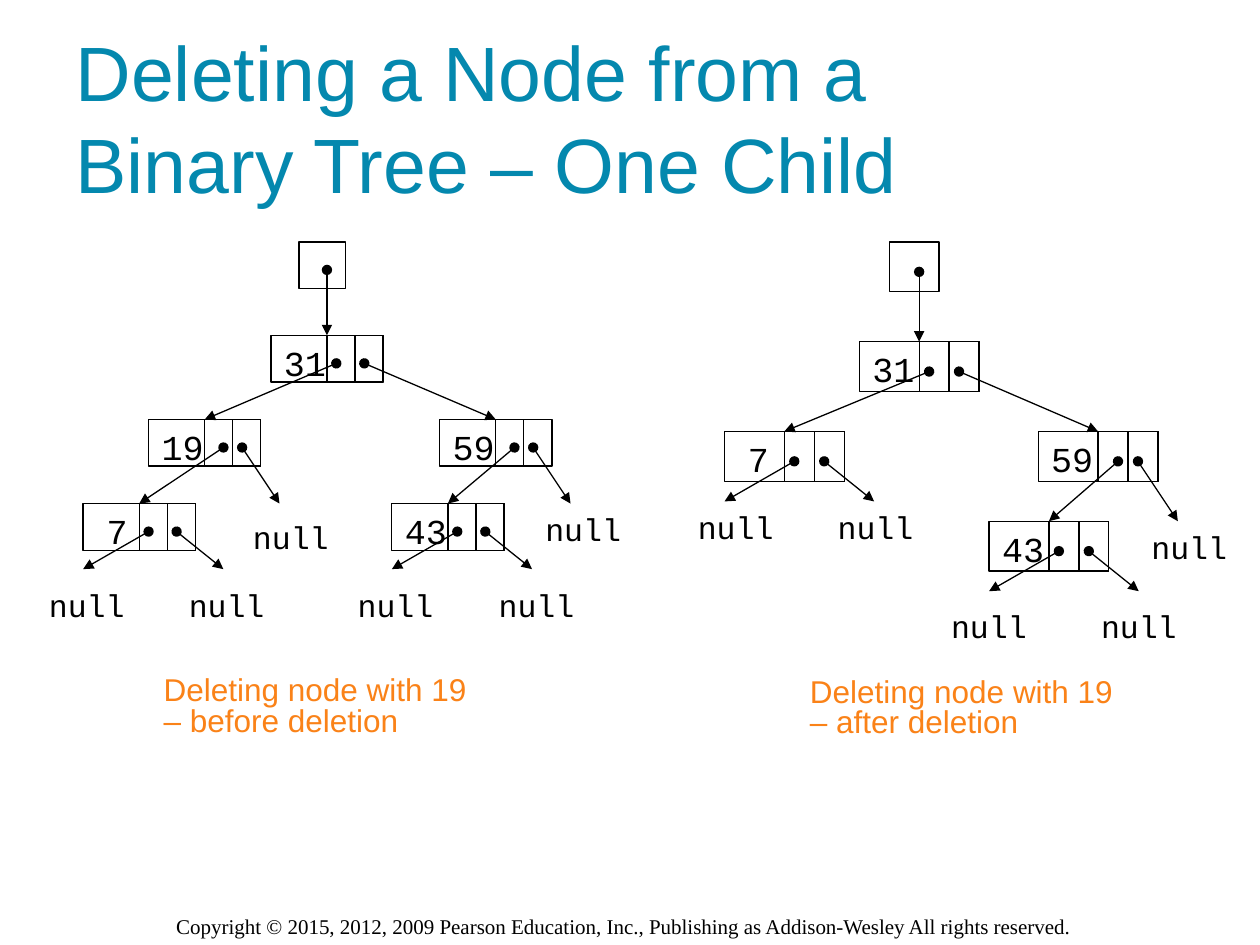
from lxml.etree import SubElement
from pptx import Presentation
from pptx.dml.color import RGBColor
from pptx.enum.shapes import MSO_CONNECTOR, MSO_SHAPE
from pptx.enum.text import MSO_ANCHOR, MSO_AUTO_SIZE, PP_ALIGN
from pptx.oxml.ns import qn
from pptx.util import Inches, Pt

BLACK = RGBColor(0x00, 0x00, 0x00)
TEAL = RGBColor(0x04, 0x88, 0xAE)
ORANGE = RGBColor(0xFA, 0x82, 0x18)

# key: (left, level, left pointer, right pointer); a pointer is a child key
# or the position of a null label. Positions are relative to the tree's box.
BEFORE = {
    "31": (1.86, 0, "19", "59"),
    "19": (0.89, 1, "7", (1.62, 2.14)),
    "59": (3.2, 1, "43", (3.94, 2.08)),
    "7": (0.37, 2, (0, 2.68), (1.11, 2.68)),
    "43": (2.82, 2, (2.45, 2.68), (3.57, 2.68)),
}
AFTER = {
    "31": (1.38, 0, "7", "59"),
    "7": (0.31, 1, (0, 2.06), (1.11, 2.06)),
    "59": (2.8, 1, "43", (3.6, 2.22)),
    "43": (2.41, 2, (2.01, 2.85), (3.2, 2.85)),
}


def add_run(p, text, font, size, color):
    r = p.add_run()
    r.text = text
    r.font.name = font
    r.font.size = Pt(size)
    r.font.color.rgb = color


def add_text(shapes, text, x, y, w, h, font, size, color=BLACK, wrap=True):
    tf = shapes.add_textbox(Inches(x), Inches(y), Inches(w), Inches(h)).text_frame
    tf.word_wrap = wrap
    tf.auto_size = MSO_AUTO_SIZE.SHAPE_TO_FIT_TEXT
    p = tf.paragraphs[0]
    add_run(p, text, font, size, color)
    return p


def add_box(shapes, x, y, w, h):
    sp = shapes.add_shape(MSO_SHAPE.RECTANGLE, Inches(x), Inches(y), Inches(w), Inches(h))
    sp.shadow.inherit = False
    sp.fill.background()
    sp.line.color.rgb = BLACK
    sp.line.width = Pt(0.75)
    return sp


def add_pointer(shapes, x1, y1, x2, y2, target=None):
    """Arrow with a dot at its start, joined to the top of target if there is one."""
    cxn = shapes.add_connector(
        MSO_CONNECTOR.STRAIGHT, Inches(x1), Inches(y1), Inches(x2), Inches(y2))
    cxn.line.color.rgb = BLACK
    cxn.line.width = Pt(0.75)
    spPr = cxn._element.spPr
    ln = spPr.find(qn("a:ln"))
    SubElement(ln, qn("a:headEnd"), type="oval")
    SubElement(ln, qn("a:tailEnd"), type="triangle")
    SubElement(spPr, qn("a:effectLst"))
    if target is not None:
        cxn.end_connect(target, 0)


def add_node(shapes, key, x, y, w, h):
    node = add_box(shapes, x, y, w, h)
    for field in (2, 3):
        add_box(shapes, x + field * w / 4, y, w / 4, h)
    p = add_text(shapes, key, x, y, 0.54, 0.44, "Courier New", 20, wrap=False)
    p.alignment = PP_ALIGN.CENTER
    return node


def add_tree(s, left, top, w, tree):
    """Draw a tree whose node width w sets every other size."""
    shapes = s.shapes.add_group_shape().shapes
    h = w * 5 / 12
    dot = h * 0.6
    spots = {key: (left + x, top + w * (5 / 6 + 0.75 * level))
             for key, (x, level, _, _) in tree.items()}
    nodes = {key: add_node(shapes, key, x, y, w, h) for key, (x, y) in spots.items()}

    top_key = next(iter(tree))
    x, y = spots[top_key]
    add_box(shapes, x + w / 4, top, h, h)
    add_pointer(shapes, x + w / 2, top + dot, x + w / 2, y, nodes[top_key])

    for key, (_, _, *pointers) in tree.items():
        x, y = spots[key]
        is_leaf = not any(child in tree for child in pointers)
        dots = (7 / 12 if is_leaf or key == top_key else 2 / 3, 5 / 6)
        null_ends = (0, 1.25 if is_leaf else 7 / 6)
        null_drop = 0.585 if is_leaf else 0.75
        for child, start, end in zip(pointers, dots, null_ends):
            x1, y1 = x + start * w, y + dot
            if child in tree:
                cx, cy = spots[child]
                add_pointer(shapes, x1, y1, cx + w / 2, cy, nodes[child])
            else:
                add_pointer(shapes, x1, y1, x + end * w, y + null_drop * w)
                add_text(shapes, "null", left + child[0], top + child[1], 0.8, 0.4,
                         "Courier New", 18, wrap=False)


def add_title(s, x, y, w, h):
    title = s.shapes.title
    title.left, title.top, title.width, title.height = map(Inches, (x, y, w, h))
    tf = title.text_frame
    tf.auto_size = MSO_AUTO_SIZE.NONE
    tf.vertical_anchor = MSO_ANCHOR.MIDDLE
    p = tf.paragraphs[0]
    p.alignment = PP_ALIGN.LEFT
    add_run(p, "Deleting a Node from a ", "Arial", 44, TEAL)
    p.add_line_break()
    add_run(p, "Binary Tree – One Child", "Arial", 44, TEAL)


def add_caption(s, x, y, stage):
    p = add_text(s.shapes, f"Deleting node with 19 – {stage} deletion",
                 x, y, 2.77, 0.58, "Arial", 18, ORANGE)
    p.line_spacing = 0.8


def main():
    prs = Presentation()
    prs.slide_width, prs.slide_height = Inches(10), Inches(7.5)
    s = prs.slides.add_slide(prs.slide_layouts[5])
    add_title(s, 0.5, 0.3, 9, 1.25)
    add_tree(s, 0.29, 1.92, 0.89, BEFORE)
    add_caption(s, 1.2, 5.33, "before")
    add_tree(s, 5.44, 1.92, 0.95, AFTER)
    add_caption(s, 6.33, 5.34, "after")
    add_text(s.shapes, "Copyright © 2015, 2012, 2009 Pearson Education, Inc., "
             "Publishing as Addison-Wesley All rights reserved.",
             1.3, 7.2, 7.42, 0.3, "Times New Roman", 12)
    prs.save("out.pptx")


if __name__ == "__main__":
    main()
